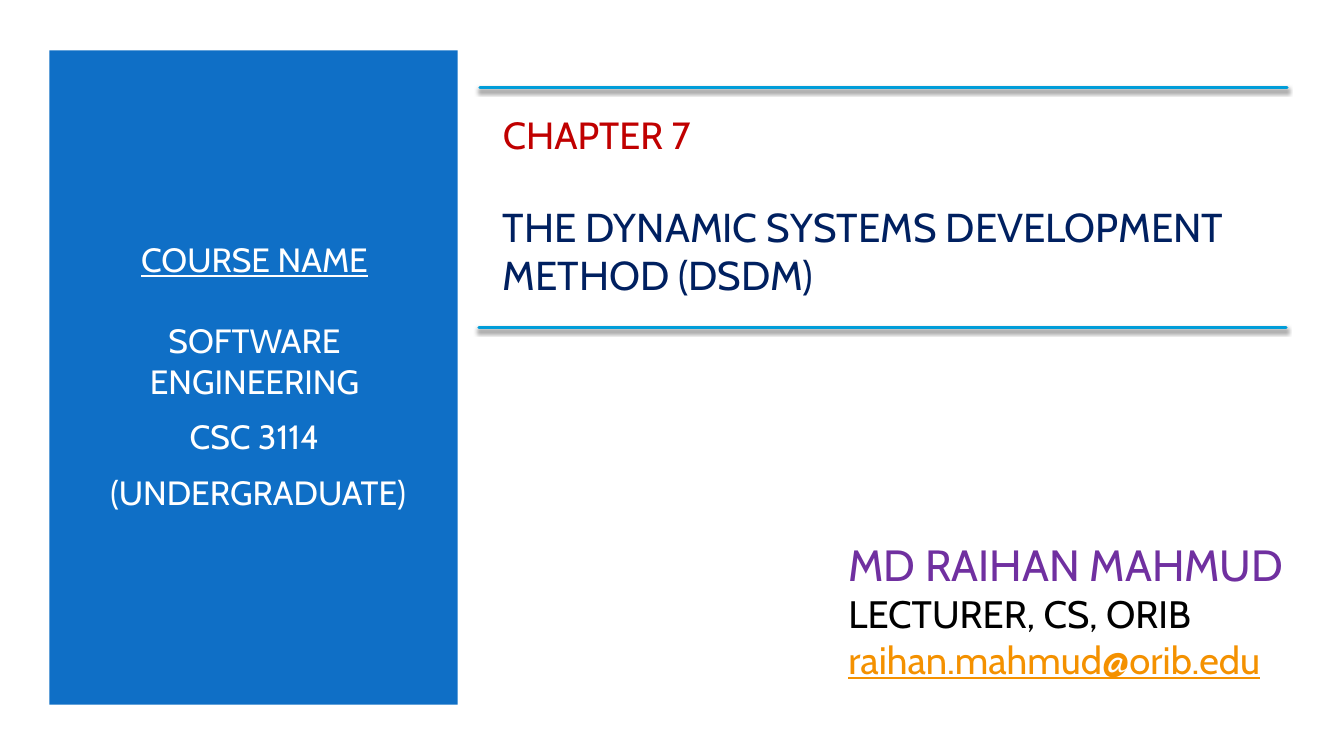
import pptx
import pptx.dml.color
import pptx.enum.shapes
import pptx.enum.text
import pptx.oxml
import pptx.oxml.ns
import pptx.util
from dataclasses import dataclass

Pt = pptx.util.Pt
Align = pptx.enum.text.PP_ALIGN


@dataclass(frozen=True)
class Theme:
    font: str = "Cabin"
    white: str = "FFFFFF"
    panel: str = "0F6FC6"
    rule: str = "009DD9"
    red: str = "C00000"
    navy: str = "002060"
    purple: str = "7030A0"
    black: str = "000000"
    orange: str = "F49100"
    course: float = 24
    chapter: float = 27
    title: float = 28.8
    author: float = 31.2
    detail: float = 27.3


THEME = Theme()

SHADOW = (
    f"<a:effectLst {pptx.oxml.ns.nsdecls('a')}>"
    '<a:outerShdw blurRad="38100" dist="25400" dir="5400000" rotWithShape="0">'
    f'<a:srgbClr val="{THEME.black}"><a:alpha val="55000"/></a:srgbClr>'
    "</a:outerShdw></a:effectLst>"
)


def tint(code):
    return pptx.dml.color.RGBColor.from_string(code)


def add_panel(slide, left, top, width, height):
    kind = pptx.enum.shapes.MSO_SHAPE.RECTANGLE
    panel = slide.shapes.add_shape(kind, Pt(left), Pt(top), Pt(width), Pt(height))
    panel.shadow.inherit = False
    panel.fill.solid()
    panel.fill.fore_color.rgb = tint(THEME.panel)
    panel.line.fill.background()


def add_rule(slide, left, top, width):
    kind = pptx.enum.shapes.MSO_CONNECTOR.STRAIGHT
    rule = slide.shapes.add_connector(kind, Pt(left), Pt(top), Pt(left + width), Pt(top))
    rule.line.width = Pt(2)
    rule.line.color.rgb = tint(THEME.rule)
    rule.line._get_or_add_ln().set("cap", "rnd")
    rule._element.spPr.append(pptx.oxml.parse_xml(SHADOW))


def add_frame(slide, left, top, width, height):
    box = slide.shapes.add_textbox(Pt(left), Pt(top), Pt(width), Pt(height))
    frame = box.text_frame
    frame.word_wrap = True
    frame.vertical_anchor = pptx.enum.text.MSO_ANCHOR.MIDDLE
    return frame


def write(frame, text, size, color, align=Align.LEFT, before=0, after=0, under=False):
    first = frame.paragraphs[0]
    para = frame.add_paragraph() if first.runs else first
    para.alignment = align
    para.space_before = Pt(before)
    para.space_after = Pt(after)
    run = para.add_run()
    run.text = text
    run.font.name = THEME.font
    run.font.size = Pt(size)
    run.font.color.rgb = tint(color)
    run.font.underline = under


def add_course(slide):
    add_panel(slide, 35.3, 36, 291.6, 467.3)
    frame = add_frame(slide, 60.5, 79.2, 242.6, 378)
    look = dict(size=THEME.course, color=THEME.white, align=Align.CENTER, before=4.8)
    write(frame, "COURSE NAME", after=24.4, under=True, **look)
    for text in ("SOFTWARE ENGINEERING", "CSC 3114", " (UNDERGRADUATE)"):
        write(frame, text, after=6, **look)


def add_title(slide):
    add_rule(slide, 342.7, 62.6, 576.7)
    add_rule(slide, 342, 234, 576.7)
    frame = add_frame(slide, 352.1, 79.2, 565.2, 134.6)
    write(frame, "CHAPTER 7", THEME.chapter, THEME.red, after=32.4)
    write(frame, "THE DYNAMIC SYSTEMS DEVELOPMENT METHOD (DSDM)", THEME.title, THEME.navy)


def add_author(slide):
    frame = add_frame(slide, 599, 379.4, 357.8, 112.3)
    write(frame, "MD RAIHAN MAHMUD", THEME.author, THEME.purple)
    write(frame, "LECTURER, CS, ORIB", THEME.detail, THEME.black)
    write(frame, "raihan.mahmud@orib.edu", THEME.detail, THEME.orange, under=True)


def main():
    deck = pptx.Presentation()
    deck.slide_width, deck.slide_height = Pt(960), Pt(540)
    slide = deck.slides.add_slide(deck.slide_layouts[6])
    slide.background.fill.solid()
    slide.background.fill.fore_color.rgb = tint(THEME.white)
    add_course(slide)
    add_title(slide)
    add_author(slide)
    deck.save("out.pptx")


if __name__ == "__main__":
    main()
